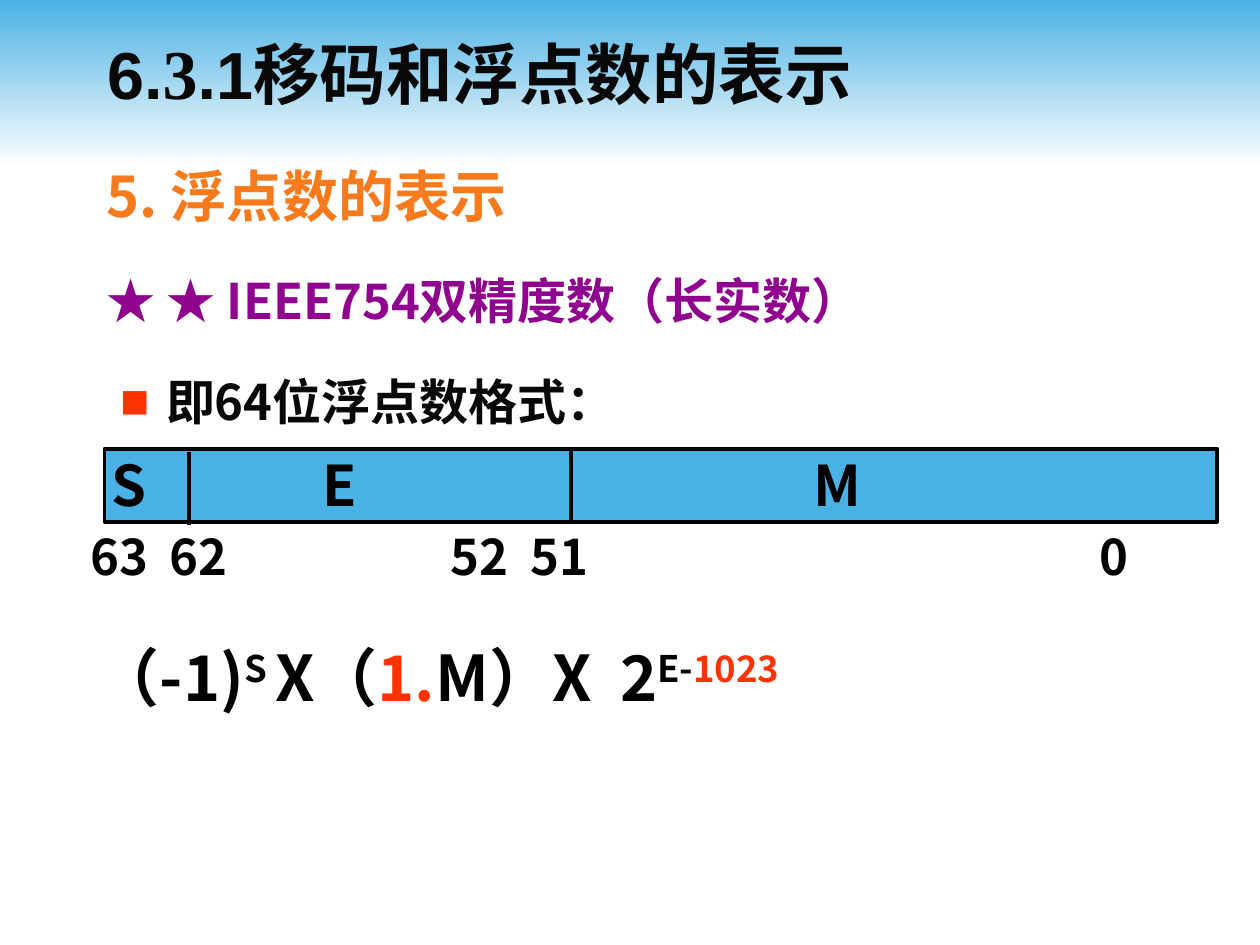
import pptx
import pptx.dml.color
import pptx.enum.shapes
import pptx.enum.text
import pptx.oxml
import pptx.oxml.ns
import pptx.util

RGB = pptx.dml.color.RGBColor
SKY = RGB(0x4A, 0xB1, 0xE4)
WHITE = RGB(0xFF, 0xFF, 0xFF)
BLACK = RGB(0x00, 0x00, 0x00)
INK = RGB(0x08, 0x08, 0x08)
ORANGE = RGB(0xF7, 0x7A, 0x1D)
PURPLE = RGB(0x8F, 0x03, 0x8F)
RED = RGB(0xFF, 0x33, 0x00)
CJK = "Noto Sans CJK JP"
COLUMNS, ROWS = 100, 75


class FormatSlide:
    def __init__(self, deck):
        self.column = deck.slide_width / COLUMNS
        self.row = deck.slide_height / ROWS
        self.slide = deck.slides.add_slide(deck.slide_layouts[5])
        self.shapes = self.slide.shapes

    def x(self, columns):
        return round(columns * self.column)

    def y(self, rows):
        return round(rows * self.row)

    def box(self, left, top, width, height):
        return self.x(left), self.y(top), self.x(width), self.y(height)

    def element(self, tag, **attributes):
        made = pptx.oxml.parse_xml(f"<a:{tag} {pptx.oxml.ns.nsdecls('a')}/>")
        for name, value in attributes.items():
            made.set(name, str(value))
        return made

    def run(self, paragraph, text, size, color, font=CJK, raised=False):
        piece = paragraph.add_run()
        piece.text = text
        piece.font.size = pptx.util.Pt(size)
        piece.font.bold = True
        piece.font.color.rgb = color
        piece.font.name = font
        properties = piece._r.get_or_add_rPr()
        properties.append(self.element("ea", typeface=CJK))
        if raised:
            properties.set("baseline", "30000")

    def rectangle(self, *place):
        shape = self.shapes.add_shape(
            pptx.enum.shapes.MSO_SHAPE.RECTANGLE, *self.box(*place))
        shape.shadow.inherit = False
        return shape

    def banner(self, *place):
        band = self.rectangle(*place)
        band.line.fill.background()
        band.fill.gradient()
        band.fill.gradient_angle = 270
        for stop, color in zip(band.fill.gradient_stops, (SKY, WHITE)):
            stop.color.rgb = color
        self.shapes._spTree.insert(2, band._element)

    def title(self, place, runs):
        heading = self.shapes.title
        heading.left, heading.top, heading.width, heading.height = self.box(*place)
        heading.text_frame.vertical_anchor = pptx.enum.text.MSO_ANCHOR.MIDDLE
        paragraph = heading.text_frame.paragraphs[0]
        paragraph.alignment = pptx.enum.text.PP_ALIGN.LEFT
        for text, size, font in runs:
            self.run(paragraph, text, size, INK, font)

    def text(self, *place):
        frame = self.shapes.add_textbox(*self.box(*place)).text_frame
        frame.word_wrap = True
        return frame

    def point(self, frame, text, color):
        paragraph = frame.add_paragraph()
        paragraph.line_spacing = 1.2
        paragraph.space_before = pptx.util.Pt(17.5)
        self.run(paragraph, text, 28, color)
        return paragraph

    def bullet(self, paragraph):
        properties = paragraph._p.get_or_add_pPr()
        properties.set("marL", str(self.x(4.7)))
        properties.set("indent", str(-self.x(3.6)))
        color = self.element("buClr")
        color.append(self.element("srgbClr", val=RED))
        properties.append(color)
        properties.append(self.element("buSzPct", val=60000))
        properties.append(self.element("buFont", typeface=CJK))
        properties.append(self.element("buChar", char="■"))

    def tabbed(self, place, text, size, stops):
        paragraph = self.text(*place).paragraphs[0]
        tabs = self.element("tabLst")
        for stop in stops:
            tabs.append(self.element("tab", pos=self.x(stop), algn="l"))
        paragraph._p.get_or_add_pPr().append(tabs)
        self.run(paragraph, text, size, BLACK)

    def register(self, *place):
        bar = self.rectangle(*place)
        bar.fill.solid()
        bar.fill.fore_color.rgb = SKY
        self.outline(bar)

    def divider(self, column, top, height):
        x = self.x(column)
        line = self.shapes.add_connector(
            pptx.enum.shapes.MSO_CONNECTOR.STRAIGHT,
            x, self.y(top), x, self.y(top + height))
        line._element.spPr.append(self.element("effectLst"))
        self.outline(line)

    def outline(self, shape):
        shape.line.color.rgb = BLACK
        shape.line.width = pptx.util.Pt(2.25)


def main():
    deck = pptx.Presentation()
    deck.slide_width = pptx.util.Inches(10)
    deck.slide_height = pptx.util.Inches(7.5)
    page = FormatSlide(deck)

    page.banner(0, 0, COLUMNS, 13.3)
    page.title((7.5, 1.3, 85, 8.7), [
        ("6.", 38, "Arial"),
        ("3", 40, "Times New Roman"),
        (".1移码和浮点数的表示", 38, "Arial"),
    ])

    outline = page.text(7.5, 12.3, 85, 62.7)
    page.run(outline.paragraphs[0], "5. 浮点数的表示", 32, ORANGE)
    page.point(outline, "★ ★ IEEE754双精度数（长实数）", PURPLE)
    page.bullet(page.point(outline, "即64位浮点数格式：", INK))

    bar_top, bar_height = 35.6, 5.8
    page.register(8.3, bar_top, 88.3, bar_height)
    page.divider(15, bar_top + 0.3, bar_height)
    page.divider(45.3, bar_top, bar_height)
    page.tabbed((7.9, 35.3, 69, 6.4), "S\tE\tM", 32, (16.7, 55.7))
    page.tabbed((4.6, 41.3, 94.4, 5.7), "\t63\t62\t52\t51\t0", 28,
                (1.6, 7.9, 30.2, 36.5, 81.7))

    formula = page.text(6.7, 50.2, 70.1, 7).paragraphs[0]
    for text, color, raised in [
        ("（-1)", BLACK, False),
        ("S ", BLACK, True),
        ("X（", BLACK, False),
        ("1.", RED, False),
        ("M）X  2", BLACK, False),
        ("E-", BLACK, True),
        ("1023", RED, True),
    ]:
        page.run(formula, text, 36, color, raised=raised)

    deck.save("out.pptx")


if __name__ == "__main__":
    main()
